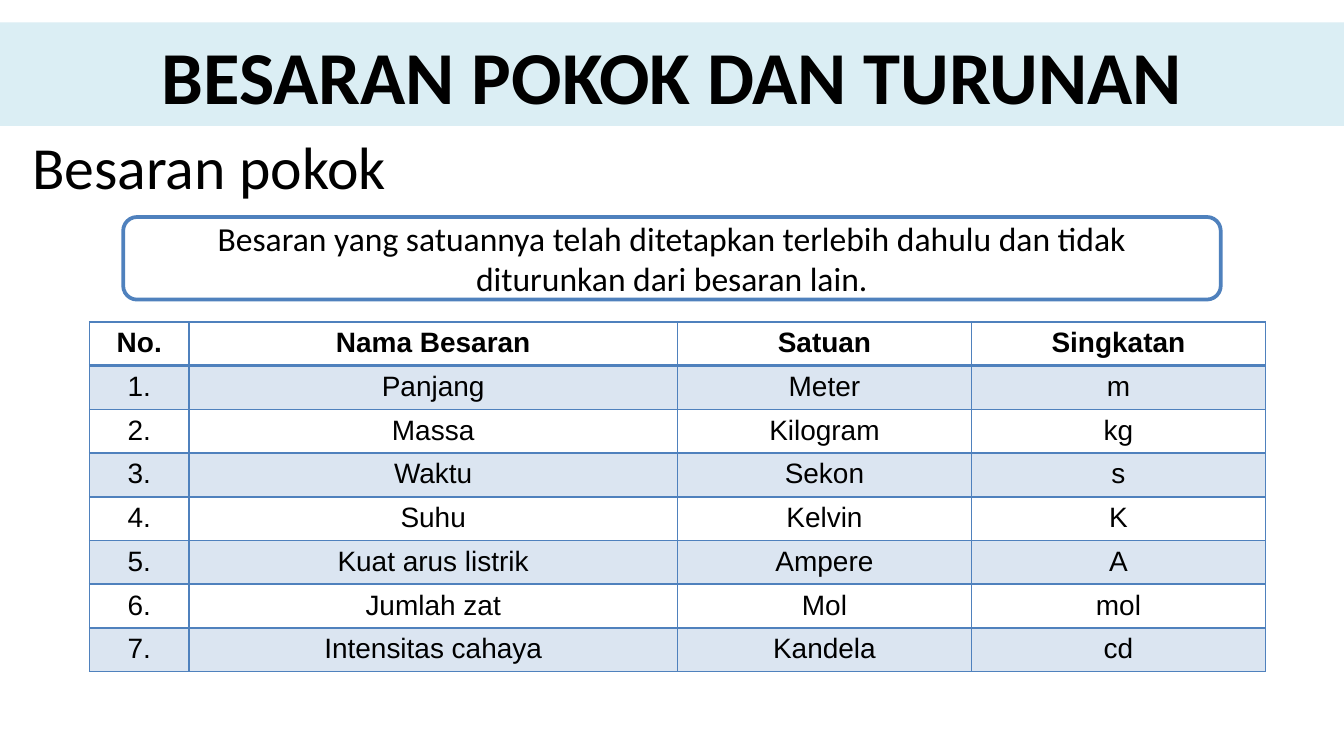
from lxml import etree
from pptx import Presentation
from pptx import util as u
from pptx.dml.color import RGBColor
from pptx.enum import shapes, text
from pptx.oxml.ns import qn

PX = 9525  # EMU per px, 96 px to the inch
BLACK = RGBColor(0x00, 0x00, 0x00)
WHITE = RGBColor(0xFF, 0xFF, 0xFF)
BLUE = RGBColor(0x4F, 0x81, 0xBD)
PALE_BLUE = RGBColor(0xDB, 0xEE, 0xF4)

ROWS = [
    ("No.", "Nama Besaran", "Satuan", "Singkatan"),
    ("1.", "Panjang", "Meter", "m"),
    ("2.", "Massa", "Kilogram", "kg"),
    ("3.", "Waktu", "Sekon", "s"),
    ("4.", "Suhu", "Kelvin", "K"),
    ("5.", "Kuat arus listrik", "Ampere", "A"),
    ("6.", "Jumlah zat", "Mol", "mol"),
    ("7.", "Intensitas cahaya", "Kandela", "cd"),
]
COLUMN_WIDTHS = [71, 349, 210, 210]


def write(frame, content, size, font="Calibri", bold=False):
    """Fill a text frame with one centred black paragraph."""
    frame.text = content
    frame.vertical_anchor = text.MSO_ANCHOR.MIDDLE
    paragraph = frame.paragraphs[0]
    paragraph.alignment = text.PP_ALIGN.CENTER
    for run in paragraph.runs:
        run.font.name = font
        run.font.size = u.Pt(size)
        run.font.bold = bold
        run.font.color.rgb = BLACK


def add_border(cell, side, points):
    properties = cell._tc.get_or_add_tcPr()
    line = etree.SubElement(properties, qn(f"a:ln{side}"), w=str(u.Pt(points)))
    fill = etree.SubElement(line, qn("a:solidFill"))
    etree.SubElement(fill, qn("a:srgbClr"), val=str(BLUE))


presentation = Presentation()
presentation.slide_width = 960 * PX
presentation.slide_height = 540 * PX
slide = presentation.slides.add_slide(presentation.slide_layouts[5])

# Title band
title = slide.shapes.title
title.left, title.top, title.width, title.height = 0, 16 * PX, 960 * PX, 74 * PX
title.fill.solid()
title.fill.fore_color.rgb = PALE_BLUE
write(title.text_frame, "BESARAN POKOK DAN TURUNAN", 40, bold=True)

# Table of base quantities
table = slide.shapes.add_table(
    len(ROWS), len(COLUMN_WIDTHS), 64 * PX, 230 * PX, sum(COLUMN_WIDTHS) * PX, 250 * PX
).table
table.horz_banding = False
for column, width in zip(table.columns, COLUMN_WIDTHS):
    column.width = width * PX
for row_index, values in enumerate(ROWS):
    table.rows[row_index].height = 250 * PX // len(ROWS)
    header = row_index == 0
    for column_index, value in enumerate(values):
        cell = table.cell(row_index, column_index)
        cell.margin_top = cell.margin_bottom = 4 * PX
        write(cell.text_frame, value, 15, "Arial", header)
        for side in "LRTB":
            heavy = (header and side == "B") or (row_index == 1 and side == "T")
            add_border(cell, side, 2 if heavy else 1)
        if row_index % 2:
            cell.fill.solid()
            cell.fill.fore_color.rgb = BLUE
            color = cell._tc.tcPr.find(qn("a:solidFill")).find(qn("a:srgbClr"))
            etree.SubElement(color, qn("a:alpha"), val="20000")
        else:
            cell.fill.background()

# Definition
definition = slide.shapes.add_shape(
    shapes.MSO_SHAPE.ROUNDED_RECTANGLE, 88 * PX, 155 * PX, 784 * PX, 59 * PX
)
definition.shadow.inherit = False
definition.fill.solid()
definition.fill.fore_color.rgb = WHITE
definition.line.color.rgb = BLUE
definition.line.width = u.Pt(2)
write(
    definition.text_frame,
    "Besaran yang satuannya telah ditetapkan terlebih dahulu dan tidak "
    "diturunkan dari besaran lain.",
    18,
)

# Section heading
heading = slide.shapes.add_textbox(12 * PX, 88 * PX, 275 * PX, 61 * PX)
heading.text_frame.word_wrap = False
write(heading.text_frame, "Besaran pokok", 32)

presentation.save("out.pptx")
